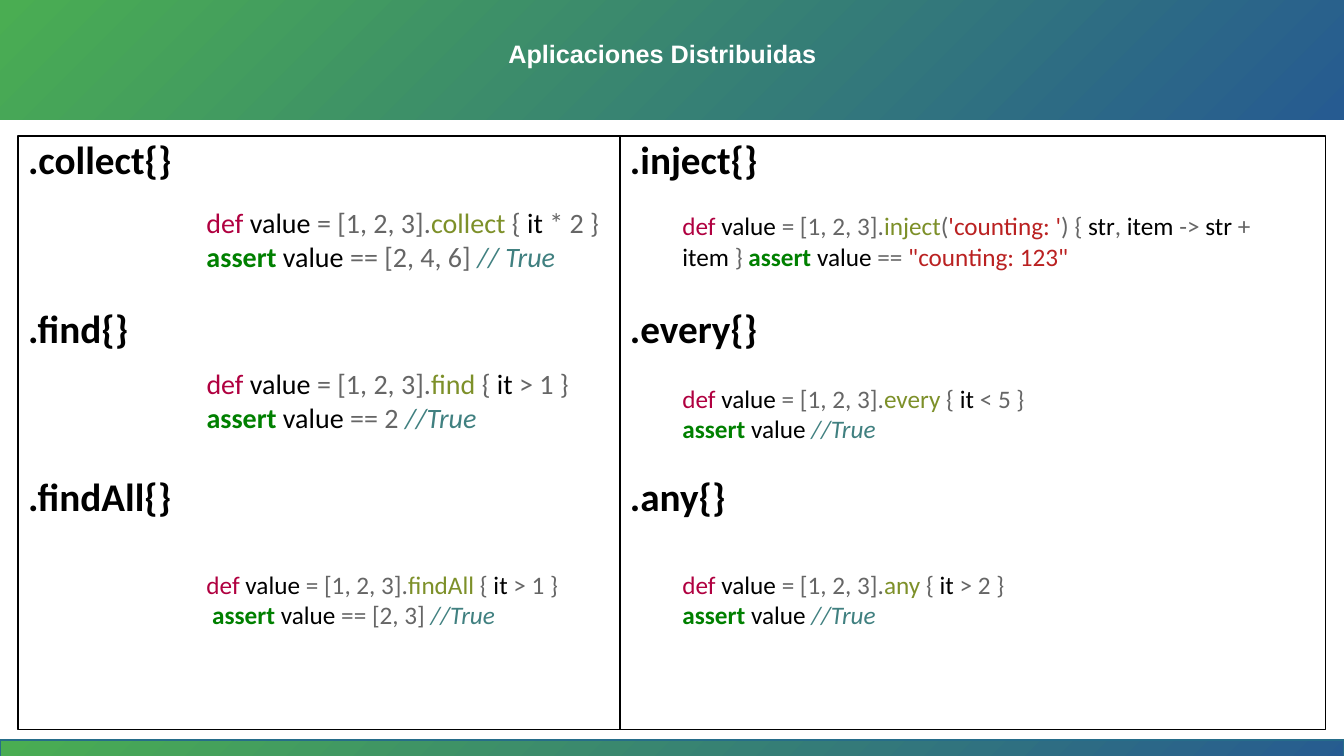
from pptx import Presentation
from pptx.dml.color import RGBColor
from pptx.enum.shapes import MSO_SHAPE as Shape
from pptx.enum.text import MSO_ANCHOR as Anchor, PP_ALIGN as Align
from pptx.util import Inches, Pt

BLACK, WHITE = "000000", "FFFFFF"
KEYWORD, METHOD, SYMBOL = "B00040", "7D9029", "666666"
ASSERT, TEXT, COMMENT = "008000", "BA2121", "408080"


def color(hex_string):
    return RGBColor.from_string(hex_string)


def add_rectangle(page, left, top, width, height, line=None):
    box = page.shapes.add_shape(Shape.RECTANGLE, Inches(left), Inches(top),
                                Inches(width), Inches(height))
    box.shadow.inherit = False
    if line:
        box.line.color.rgb = color(line)
        box.line.width = Pt(1)
    else:
        box.line.fill.background()
    return box


def add_band(page, top, height, line=None):
    band = add_rectangle(page, 0, top, 13.33, height, line)
    band.fill.gradient()
    band.fill.gradient_angle = 315
    for stop, shade in zip(band.fill.gradient_stops, ("4AAD52", "265B91")):
        stop.color.rgb = color(shade)


def add_text_box(page, left, top, width, height):
    box = page.shapes.add_textbox(Inches(left), Inches(top),
                                  Inches(width), Inches(height))
    box.text_frame.word_wrap = True
    return box.text_frame


def add_title(page, text):
    frame = add_text_box(page, 1.95, 0.1, 9.24, 0.9)
    frame.vertical_anchor = Anchor.MIDDLE
    para = frame.paragraphs[0]
    para.text = text
    para.alignment = Align.CENTER
    para.line_spacing = 0.9
    set_font(para.font, "Arial", 18, WHITE)


def set_font(font, name, size, shade, bold=True):
    font.name = name
    font.size = Pt(size)
    font.bold = bold
    font.color.rgb = color(shade)


def add_panel(page, left, width, headings):
    panel = add_rectangle(page, left, 1.35, width, 5.89, BLACK)
    panel.fill.solid()
    panel.fill.fore_color.rgb = color(WHITE)
    frame = panel.text_frame
    frame.word_wrap = True
    frame.vertical_anchor = Anchor.TOP
    for index, heading in enumerate(headings):
        para = frame.add_paragraph() if index else frame.paragraphs[0]
        para.text = heading
        para.alignment = Align.LEFT
        para.line_spacing = 0.9
        para.space_before = Pt(90 if index else 0)
        set_font(para.font, "Calibri", 28, BLACK)


def definition(method, condition):
    return [("def", KEYWORD), (" value ", BLACK), ("= [1, 2, 3].", SYMBOL),
            (method + " ", METHOD), ("{", SYMBOL), (" it ", BLACK),
            (condition + " }", SYMBOL)]


def assertion(result="", comment="//True"):
    spans = [("assert", ASSERT), (" value ", BLACK)]
    if result:
        spans.append((result + " ", SYMBOL))
    return spans + [(comment, COMMENT)]


def add_code(page, left, top, width, size, lines):
    """Write code lines, each a list of (text, colour) spans."""
    frame = add_text_box(page, left, top, width, 0.77 if size == 20 else 0.71)
    for index, line in enumerate(lines):
        para = frame.add_paragraph() if index else frame.paragraphs[0]
        para.font.name = "Calibri"
        para.font.size = Pt(size)
        for text, shade in line:
            span = para.add_run()
            span.text = text
            span.font.color.rgb = color(shade)
            if shade == ASSERT:
                span.font.bold = True
            elif shade == COMMENT:
                span.font.italic = True


def main():
    deck = Presentation()
    deck.slide_width, deck.slide_height = Inches(13.33), Inches(7.5)
    page = deck.slides.add_slide(deck.slide_layouts[6])

    add_band(page, 0, 1.19)
    add_band(page, 7.34, 0.33, "266D8A")
    add_title(page, "Aplicaciones Distribuidas")
    add_panel(page, 0.18, 5.97, [".collect{}", ".find{}", ".findAll{}"])
    add_panel(page, 6.15, 7, [".inject{}", ".every{}", ".any{}"])

    left, right = 1.95, 6.67
    add_code(page, left, 1.99, 4.46, 20, [
        definition("collect", "* 2"), assertion("== [2, 4, 6]", "// True")])
    add_code(page, left, 3.59, 3.82, 20, [
        definition("find", "> 1"), assertion("== 2")])
    add_code(page, left, 5.6, 3.73, 18, [
        definition("findAll", "> 1"),
        [(" ", BLACK)] + assertion("== [2, 3]")])
    add_code(page, right, 2.04, 6.45, 18, [[
        ("def", KEYWORD), (" value ", BLACK), ("= [1, 2, 3].", SYMBOL),
        ("inject", METHOD), ("(", SYMBOL), ("'counting: '", TEXT),
        (") {", SYMBOL), (" str", BLACK), (",", SYMBOL), (" item ", BLACK),
        ("->", SYMBOL), (" str ", BLACK), ("+", SYMBOL), (" item ", BLACK),
        ("} ", SYMBOL), ("assert", ASSERT), (" value ", BLACK),
        ("== ", SYMBOL), ('"counting: 123"', TEXT)]])
    add_code(page, right, 3.75, 3.94, 18, [
        definition("every", "< 5"), assertion()])
    add_code(page, right, 5.6, 3.79, 18, [
        definition("any", "> 2"), assertion()])

    deck.save("out.pptx")


if __name__ == "__main__":
    main()
